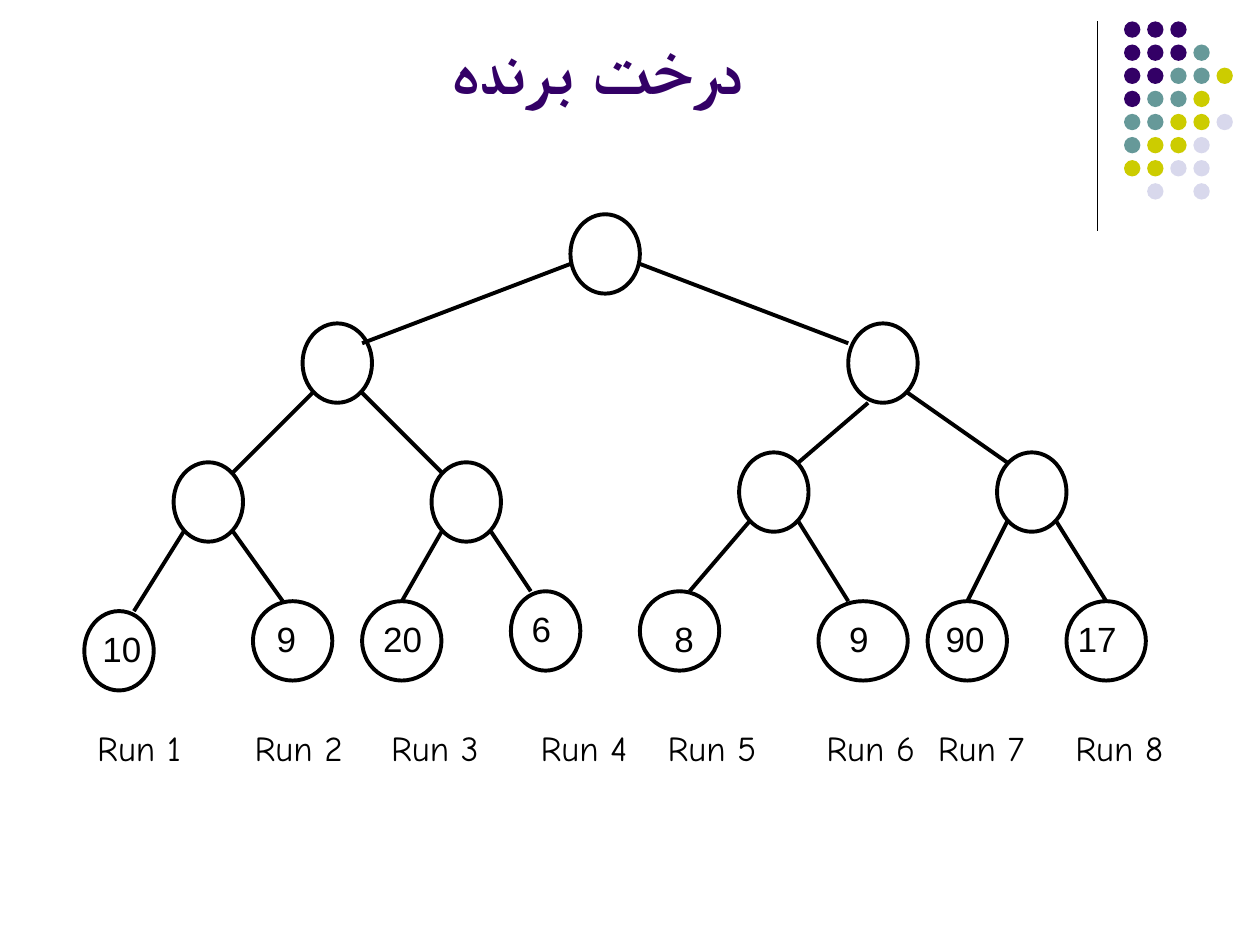
from dataclasses import dataclass

from lxml import etree
from pptx import Presentation
from pptx import util as u
from pptx.dml.color import RGBColor
from pptx.enum import shapes, text
from pptx.oxml.ns import qn


@dataclass(frozen=True)
class Theme:
    ink: str = "000000"
    paper: str = "FFFFFF"
    purple: str = "330066"
    teal: str = "669999"
    lime: str = "CCCC00"
    lilac: str = "D8D8EC"
    title_font: str = "Arial"
    label_font: str = "Comic Neue"
    value_font: str = "Karla"
    title_size: float = 39
    label_size: float = 20
    rule: float = 0.75
    stroke: float = 2.25


class TreeSlide:
    """Draws on a 2 mm grid whose origin is slightly inside the slide corner."""

    CELL = u.Mm(2)
    ORIGIN_COL, ORIGIN_ROW = 0.5, 0.6

    def __init__(self, deck, theme):
        self.theme = theme
        self.slide = deck.slides.add_slide(deck.slide_layouts[5])

    def point(self, col, row):
        return (round((col + self.ORIGIN_COL) * self.CELL),
                round((row + self.ORIGIN_ROW) * self.CELL))

    def box(self, col, row, width, height):
        return (*self.point(col, row), round(width * self.CELL), round(height * self.CELL))

    def style_text(self, paragraph, font, size, color, bold=False):
        for run in paragraph.runs:
            run.font.size = u.Pt(size)
            run.font.bold = bold
            run.font.name = font
            run.font.color.rgb = RGBColor.from_string(color)
            complex_script = etree.SubElement(run.font._element, qn("a:cs"))
            complex_script.set("typeface", self.theme.title_font)

    def title(self, wording, *area):
        heading = self.slide.shapes.title
        heading.left, heading.top, heading.width, heading.height = self.box(*area)
        frame = heading.text_frame
        frame.text = wording
        frame.auto_size = text.MSO_AUTO_SIZE.NONE
        frame.vertical_anchor = text.MSO_ANCHOR.BOTTOM
        paragraph = frame.paragraphs[0]
        paragraph.alignment = text.PP_ALIGN.CENTER
        self.style_text(paragraph, self.theme.title_font, self.theme.title_size,
                        self.theme.purple, bold=True)

    def ellipse(self, area, fill, outlined=False):
        oval = self.slide.shapes.add_shape(shapes.MSO_SHAPE.OVAL, *self.box(*area))
        oval.shadow.inherit = False
        oval.fill.solid()
        oval.fill.fore_color.rgb = RGBColor.from_string(fill)
        if outlined:
            oval.line.color.rgb = RGBColor.from_string(self.theme.ink)
            oval.line.width = u.Pt(self.theme.stroke)
        else:
            oval.line.fill.background()

    def line(self, start, end, width):
        connector = self.slide.shapes.add_connector(
            shapes.MSO_CONNECTOR.STRAIGHT, *self.point(*start), *self.point(*end))
        connector.line.color.rgb = RGBColor.from_string(self.theme.ink)
        connector.line.width = u.Pt(width)
        etree.SubElement(connector._element.spPr, qn("a:effectLst"))

    def label(self, wording, col, row, width, font):
        """Right-to-left, right-aligned single line."""
        frame = self.slide.shapes.add_textbox(*self.box(col, row, width, 5.6)).text_frame
        frame.word_wrap = True
        frame.auto_size = text.MSO_AUTO_SIZE.SHAPE_TO_FIT_TEXT
        frame.text = wording
        paragraph = frame.paragraphs[0]
        paragraph.alignment = text.PP_ALIGN.RIGHT
        paragraph._p.get_or_add_pPr().set("rtl", "1")
        self.style_text(paragraph, font, self.theme.label_size, self.theme.ink)

    def dot_corner(self, pattern, col, row, pitch, diameter):
        colors = {"P": self.theme.purple, "T": self.theme.teal,
                  "Y": self.theme.lime, "L": self.theme.lilac}
        for down, marks in enumerate(pattern):
            for across, mark in enumerate(marks):
                if mark in colors:
                    self.ellipse((col + across * pitch, row + down * pitch,
                                  diameter, diameter), colors[mark])


DOTS = ("PPP", "PPPT", "PPTTY", "PTTY", "TTYYL", "TYYL", "YYLL", ".L.L")

# column, row, width
INNER_NODES = ((57, 21, 7), (85, 32, 7), (30, 32, 7), (17, 46, 7),
               (43, 46, 7), (74, 45, 7), (100, 45, 7))
LEAVES = ((8, 61, 7), (25, 60, 8), (36, 60, 8), (51, 59, 7),
          (64, 59, 8), (82, 60, 9), (93, 60, 8), (107, 60, 8))

BRANCHES = (
    ((57, 26), (36, 34)), ((64, 26), (85, 34)),
    ((31, 39), (23, 47)), ((36, 39), (44, 47)),
    ((87, 40), (80, 46)), ((91, 39), (101, 46)),
    ((18, 53), (13, 61)), ((23, 53), (28, 60)),
    ((44, 53), (40, 60)), ((49, 53), (53, 59)),
    ((75, 52), (69, 59)), ((80, 52), (85, 60)),
    ((101, 52), (97, 60)), ((106, 52), (111, 60)),
)

# value, column, row, width
LEAF_VALUES = (("10", 6, 62, 9), ("9", 24, 61, 6.6), ("20", 34, 61, 9.3),
               ("6", 47, 60, 9.3), ("8", 60, 61, 10.7), ("9", 79, 61, 9.3),
               ("90", 92, 61, 8), ("17", 100, 61, 13.3))
# column, width
RUN_SPANS = ((5, 14), (22, 13.3), (36, 13), (47, 17),
             (65, 12), (79, 14), (88, 16), (106, 12))
NODE_HEIGHT = 8
RUN_ROW = 72


def main():
    deck = Presentation()
    deck.slide_width, deck.slide_height = u.Inches(10), u.Inches(7.5)
    theme = Theme()
    tree = TreeSlide(deck, theme)

    tree.line((110.1, 1.56), (110.1, 22.64), theme.rule)
    tree.dot_corner(DOTS, 112.8, 1.56, pitch=2.33, diameter=1.65)
    tree.title("درخت برنده", 12, -0.6, 95.4, 11.55)

    for col, row, width in INNER_NODES + LEAVES:
        tree.ellipse((col, row, width, NODE_HEIGHT), theme.paper, outlined=True)
    for parent, child in BRANCHES:
        tree.line(parent, child, theme.stroke)
    for index, (value, col, row, width) in enumerate(LEAF_VALUES):
        font = theme.value_font if index else theme.label_font
        tree.label(value, col, row, width, font)
    for number, (col, width) in enumerate(RUN_SPANS, start=1):
        tree.label(f"Run {number}", col, RUN_ROW, width, theme.label_font)

    deck.save("out.pptx")


if __name__ == "__main__":
    main()
